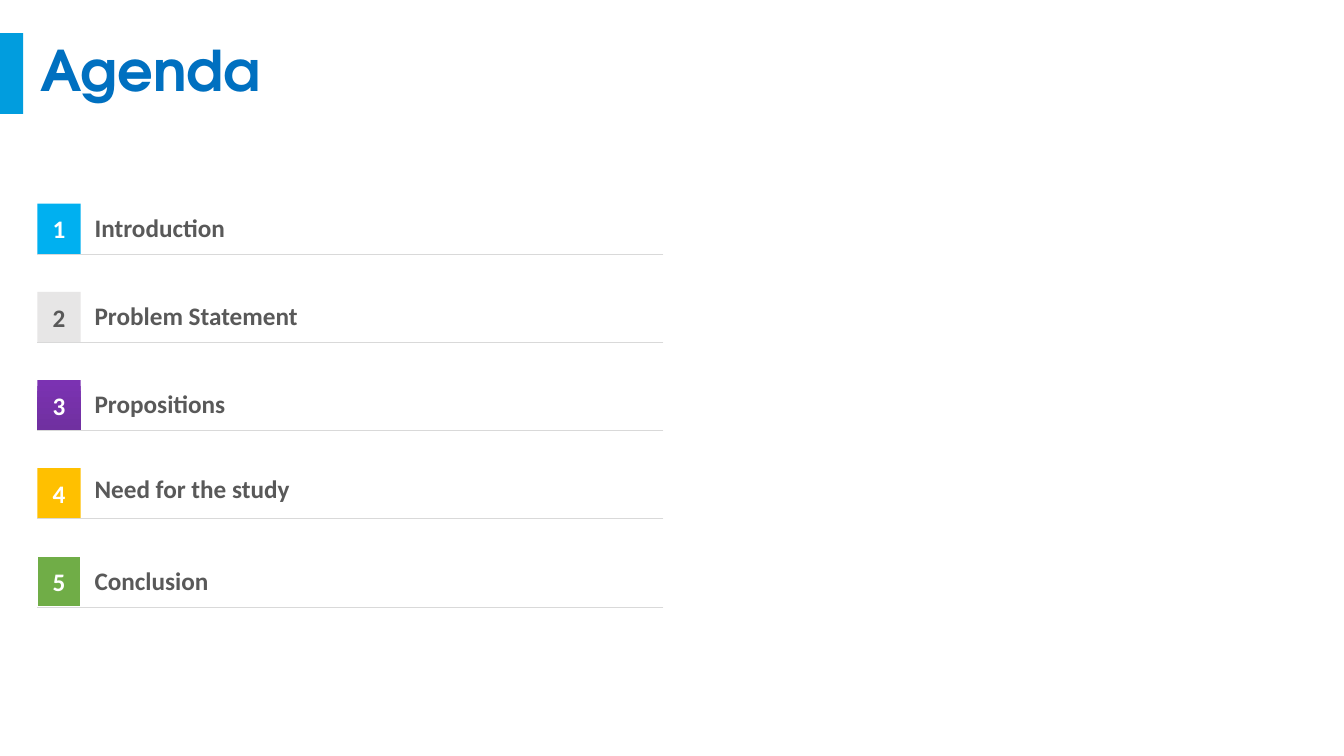
"""Builds an agenda slide with five numbered topics."""
from lxml.etree import SubElement
from pptx import Presentation
from pptx.dml.color import RGBColor
from pptx.enum.shapes import MSO_CONNECTOR, MSO_SHAPE
from pptx.enum.text import MSO_ANCHOR, PP_ALIGN
from pptx.oxml.ns import qn
from pptx.util import Inches, Pt

WHITE = RGBColor(0xFF, 0xFF, 0xFF)
TITLE_BLUE = RGBColor(0x00, 0x70, 0xC0)
ACCENT_BLUE = RGBColor(0x01, 0x9D, 0xDE)
SKY = RGBColor(0x00, 0xB0, 0xF0)
LIGHT_GRAY = RGBColor(0xE7, 0xE6, 0xE6)
VIOLET = RGBColor(0x7B, 0x32, 0xB2)
PURPLE = RGBColor(0x70, 0x30, 0xA0)
GOLD = RGBColor(0xFF, 0xC0, 0x00)
GREEN = RGBColor(0x70, 0xAD, 0x47)
TEXT_GRAY = RGBColor(0x59, 0x59, 0x59)
RULE_GRAY = RGBColor(0xD9, 0xD9, 0xD9)

LEFT = 0.37
FIRST_TOP, LAST_TOP = 2.02, 5.52
BADGE_WIDTH, BADGE_HEIGHT = 0.43, 0.5
TOPICS = [
    ("Introduction", SKY, WHITE, 0.04),
    ("Problem Statement", LIGHT_GRAY, TEXT_GRAY, 0.04),
    ("Propositions", PURPLE, WHITE, 0.03),
    ("Need for the study", GOLD, WHITE, 0),
    ("Conclusion", GREEN, WHITE, 0.04),
]


def write(shape, text, size, color, font_name="Calibri"):
    shape.text_frame.word_wrap = True
    shape.text_frame.text = text
    font = shape.text_frame.paragraphs[0].runs[0].font
    font.name, font.size, font.bold = font_name, Pt(size), True
    font.color.rgb = color


def add_block(left, top, width, height, color):
    block = slide.shapes.add_shape(
        MSO_SHAPE.RECTANGLE, Inches(left), Inches(top), Inches(width), Inches(height))
    block.shadow.inherit = False
    block.fill.solid()
    block.fill.fore_color.rgb = color
    block.line.fill.background()
    return block


presentation = Presentation()
presentation.slide_width, presentation.slide_height = Inches(13.33), Inches(7.5)
slide = presentation.slides.add_slide(presentation.slide_layouts[6])

title = slide.shapes.add_textbox(Inches(0.3), Inches(0.38), Inches(2.94), Inches(0.71))
write(title, "Agenda", 40, TITLE_BLUE, "TeX Gyre Adventor")
title.text_frame.paragraphs[0].line_spacing = 0.9
add_block(0, 0.33, 0.23, 0.8, ACCENT_BLUE)

pitch = (LAST_TOP - FIRST_TOP) / (len(TOPICS) - 1)
for index, (topic, badge_color, number_color, label_offset) in enumerate(TOPICS):
    top = FIRST_TOP + index * pitch
    bottom = Inches(top + BADGE_HEIGHT)

    badge = add_block(LEFT, top, BADGE_WIDTH, BADGE_HEIGHT, badge_color)
    if badge_color == PURPLE:
        badge.fill.gradient()
        badge.fill.gradient_angle = 270
        for stop, color in zip(badge.fill.gradient_stops, (VIOLET, PURPLE)):
            stop.color.rgb = color
    if badge_color == GREEN:
        badge.line.color.rgb = WHITE
        badge.line.width = Pt(1.5)
    write(badge, str(index + 1), 18, number_color)
    badge.text_frame.vertical_anchor = MSO_ANCHOR.MIDDLE
    badge.text_frame.paragraphs[0].alignment = PP_ALIGN.CENTER

    label = slide.shapes.add_textbox(
        Inches(0.84), Inches(top + label_offset), Inches(6.46), Inches(0.4))
    write(label, topic, 18, TEXT_GRAY)

    rule = slide.shapes.add_connector(
        MSO_CONNECTOR.STRAIGHT, Inches(6.58), bottom, Inches(LEFT), bottom)
    rule.line.color.rgb = RULE_GRAY
    rule.line.width = Pt(0.25)
    SubElement(rule.element.spPr, qn("a:effectLst"))

presentation.save("out.pptx")
